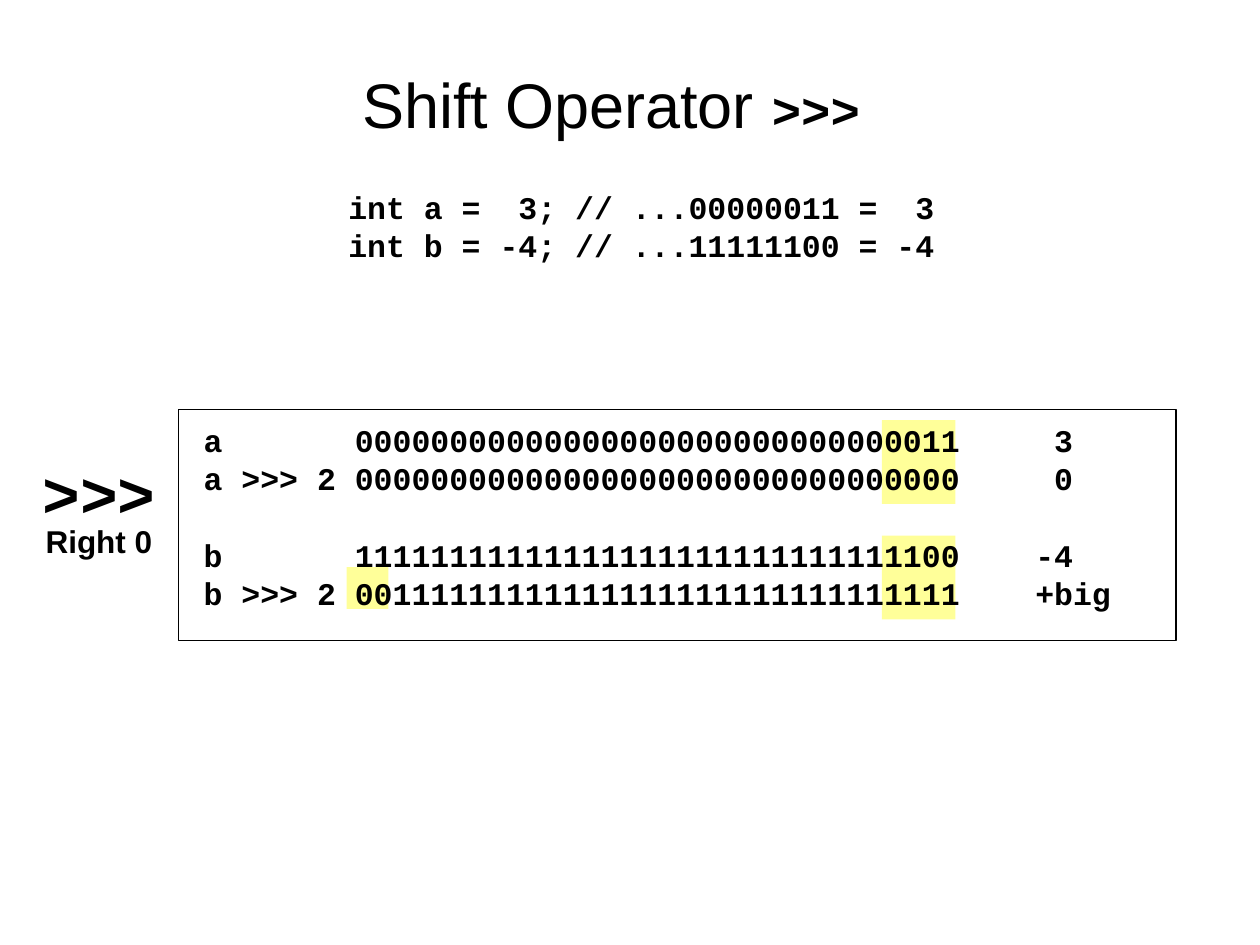
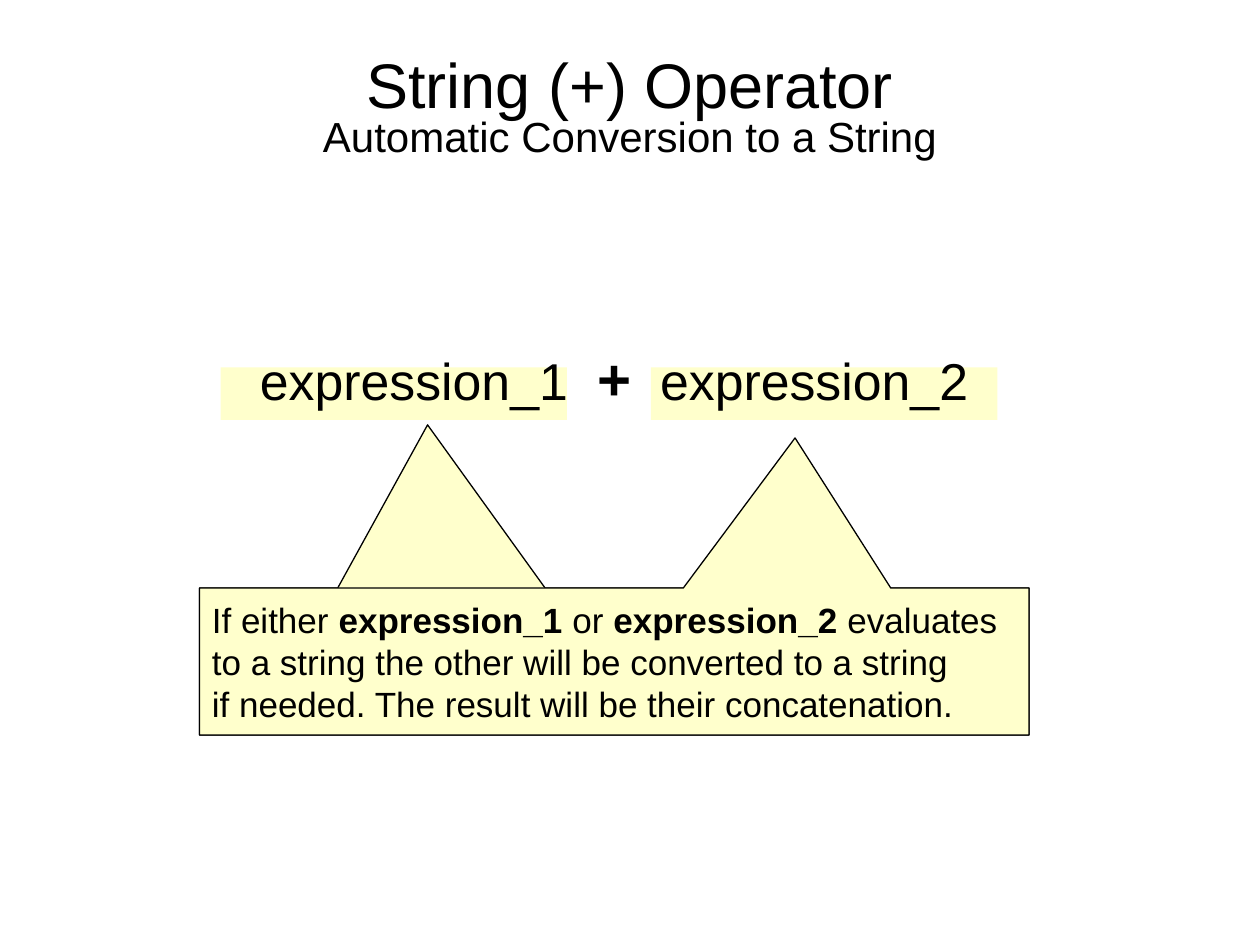
from pptx import Presentation
from pptx.dml.color import RGBColor
from pptx.enum import shapes, text
from pptx.util import Pt

BLACK, MARKER, CREAM = "000000", "FFFF99", "FFFFCC"
SANS, CODE = "Arial", "Courier New"
LEFT, CENTER = text.PP_ALIGN.LEFT, text.PP_ALIGN.CENTER
TOP, MIDDLE = text.MSO_ANCHOR.TOP, text.MSO_ANCHOR.MIDDLE
TIGHT = 0.8
TITLE_BOX = (54, 30, 612, 66)
CODE_GAP, BLOCK_GAP = 4.5, 26.3
LINE_BREAK = ("\v",)


def color(value):
    """Turn a hex string into a colour."""
    return RGBColor.from_string(value)


def style(span, size, font=SANS, bold=False):
    """Format one run of text."""
    span.font.size, span.font.name, span.font.bold = Pt(size), font, bold
    span.font.color.rgb = color(BLACK)


def set_frame(frame, anchor=TOP, insets=(7.2, 3.6), wrap=True):
    """Set wrapping, anchor and the horizontal and vertical insets."""
    frame.word_wrap, frame.vertical_anchor = wrap, anchor
    frame.auto_size = text.MSO_AUTO_SIZE.NONE
    frame.margin_left = frame.margin_right = Pt(insets[0])
    frame.margin_top = frame.margin_bottom = Pt(insets[1])


def fill_para(para, spans, align=LEFT, spacing=1.0, before=0):
    """Write (text, size, font, bold) spans and line breaks into a paragraph."""
    para.alignment, para.line_spacing = align, spacing
    para.space_before = Pt(before)
    for words, *look in spans:
        if (words,) == LINE_BREAK:
            para.add_line_break()
            continue
        span = para.add_run()
        span.text = words
        style(span, *look)


def fill_lines(frame, lines, **layout):
    """Write one paragraph for each list of spans."""
    for index, spans in enumerate(lines):
        para = frame.add_paragraph() if index else frame.paragraphs[0]
        fill_para(para, spans, **layout)


def add_page(deck, spans, align_shift=0):
    """Add a title-only slide and format its title."""
    page = deck.slides.add_slide(deck.slide_layouts[5])
    title = page.shapes.title
    title.left, title.top, title.width, title.height = map(Pt, TITLE_BOX)
    frame = title.text_frame
    set_frame(frame, MIDDLE)
    frame.margin_right = Pt(7.2 + align_shift)
    fill_para(frame.paragraphs[0], spans, CENTER, TIGHT)
    return page


def add_box(page, *place):
    """Add a text box."""
    return page.shapes.add_textbox(*map(Pt, place)).text_frame


def add_block(page, place, fill=None, outlined=False, kind=shapes.MSO_SHAPE.RECTANGLE):
    """Add a flat preset shape."""
    block = page.shapes.add_shape(kind, *map(Pt, place))
    block.shadow.inherit = False
    if fill:
        block.fill.solid()
        block.fill.fore_color.rgb = color(fill)
    else:
        block.fill.background()
    if outlined:
        block.line.color.rgb = color(BLACK)
        block.line.width = Pt(0.75)
    else:
        block.line.fill.background()
    return block


def add_callout(page, place, tip):
    """Add a callout whose tip is given relative to its centre."""
    callout = add_block(page, place, CREAM, True, shapes.MSO_SHAPE.RECTANGULAR_CALLOUT)
    callout.adjustments[0], callout.adjustments[1] = tip
    return callout.text_frame


def code_lines(frame, lines):
    """Write lines of bold code."""
    spans = [[(line, 18, CODE, True)] for line in lines]
    fill_lines(frame, spans, spacing=TIGHT, before=CODE_GAP)
    frame.paragraphs[0].space_before = Pt(0)


def build_shift_page(deck):
    """Show the unsigned right shift bit by bit."""
    page = add_page(deck, [("Shift Operator ", 36), (">>>", 28, CODE, True)], 21.6)
    for place in ((504, 240, 42, 48), (504, 306, 42, 48), (198, 324, 24, 24)):
        add_block(page, place, MARKER)

    declarations = add_box(page, 192, 108, 354, 48)
    set_frame(declarations)
    code_lines(declarations, ["int a =  3; // ...00000011 =  3",
                              "int b = -4; // ...11111100 = -4"])

    label = add_box(page, 17, 264.5, 79, 59)
    set_frame(label, wrap=False)
    fill_lines(label, [[(">>>", 36, CODE, True)], [("Right 0", 18, SANS, True)]],
               align=CENTER, spacing=TIGHT)

    bits = add_block(page, (102, 234, 570, 132), outlined=True).text_frame
    set_frame(bits, insets=(14.4, 10.8))
    code_lines(bits, ["a       00000000000000000000000000000011     3",
                      "a >>> 2 00000000000000000000000000000000     0",
                      "b       11111111111111111111111111111100    -4",
                      "b >>> 2 00111111111111111111111111111111    +big"])
    bits.paragraphs[2].space_before = Pt(BLOCK_GAP)


def build_string_page(deck):
    """Explain string conversion by the plus operator."""
    page = add_page(deck, [("String (+) Operator", 36), LINE_BREAK,
                           ("Automatic Conversion to a String", 24)])
    for left in (372, 126):
        add_block(page, (left, 210, 198, 30), CREAM)

    note_place = (114, 336, 474, 84)
    add_callout(page, note_place, (-0.225, -1.61))
    note = add_callout(page, note_place, (0.218, -1.521))
    set_frame(note, MIDDLE)
    fill_lines(note, [
        [("If either ", 20), ("expression_1", 20, SANS, True), (" or ", 20),
         ("expression_2 ", 20, SANS, True), ("evaluates", 20)],
        [("to a string the other will be converted to a string", 20)],
        [("if needed. The result will be their concatenation.", 20)],
    ])

    formula = add_box(page, 42, 192, 618, 48)
    set_frame(formula)
    para = formula.paragraphs[0]
    fill_para(para, [("expression_1", 29.6), (" ", 29.6), ("+", 33.3, SANS, True),
                     (" ", 29.6), ("expression_2", 29.6)], CENTER)
    for gap in para.runs[1::2]:
        gap.font._element.set("spc", "820")


def main():
    """Build and save the deck."""
    deck = Presentation()
    deck.slide_width, deck.slide_height = Pt(720), Pt(540)
    build_shift_page(deck)
    build_string_page(deck)
    deck.save("out.pptx")


if __name__ == "__main__":
    main()
